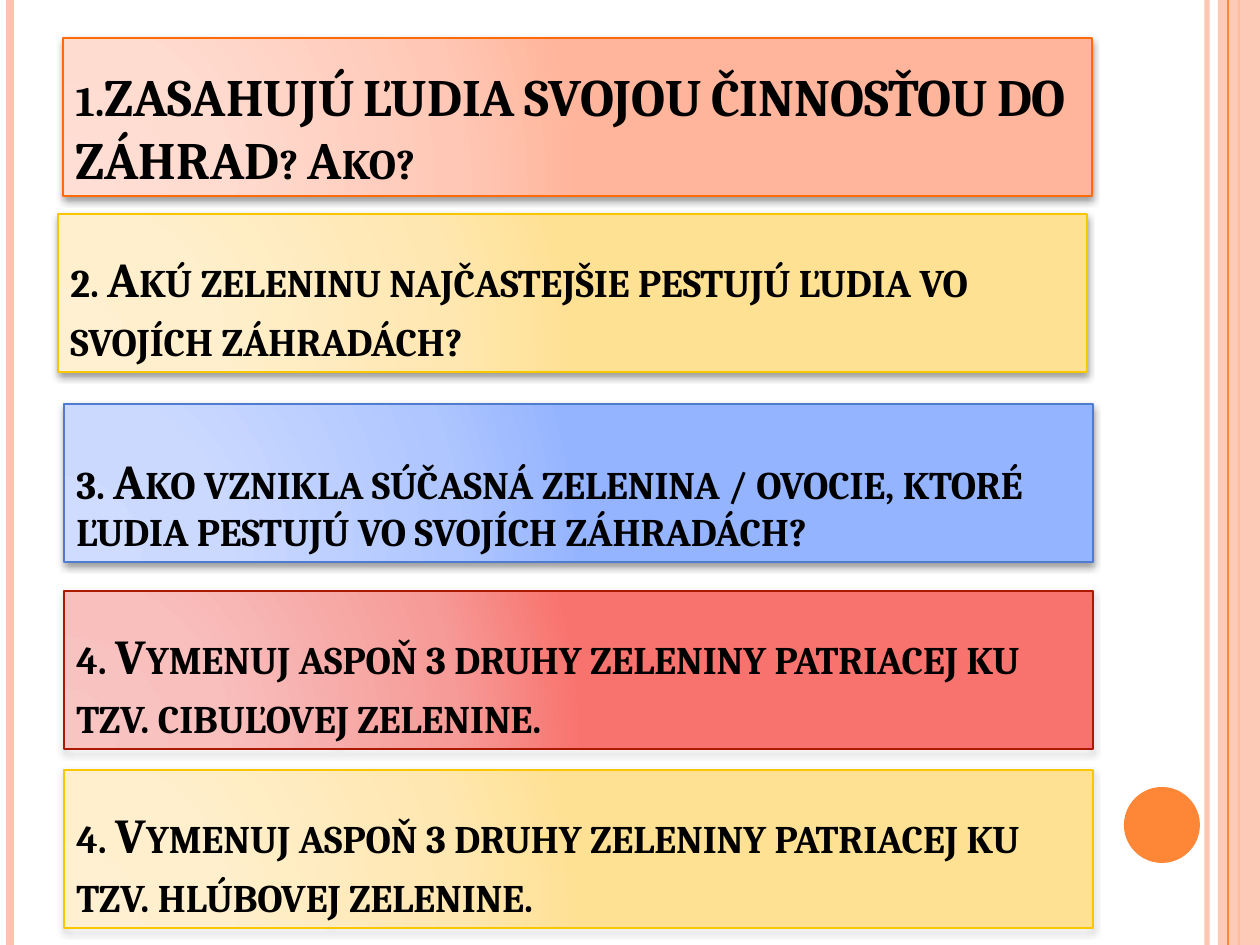
"""Build a quiz slide: five gradient question boxes beside a striped border."""
from typing import NamedTuple

from lxml.etree import SubElement
from pptx import Presentation
from pptx.dml.color import RGBColor as RGB
from pptx.enum.shapes import MSO_CONNECTOR as CONN, MSO_SHAPE as SHAPE
from pptx.enum.text import MSO_ANCHOR as ANCHOR, MSO_AUTO_SIZE as AUTOSIZE, PP_ALIGN as ALIGN
from pptx.oxml import parse_xml
from pptx.oxml.ns import nsdecls, qn
from pptx.util import Emu, Pt

PX = 914400 / 126
WIDTH, HEIGHT = 1260, 945
BOX_W, BOX_H = 1029, 158
BLACK = RGB(0x00, 0x00, 0x00)
ORANGE = RGB(0xFE, 0x86, 0x37)
PEACH = RGB(0xFE, 0xC3, 0xAE)
STOPS = (0, 30, 75, 100)
FONT = {"name": "Cambria", "bold": True}
FRAME = {"word_wrap": True, "auto_size": AUTOSIZE.NONE, "vertical_anchor": ANCHOR.BOTTOM}
SHADOW = (
    f'<a:effectLst {nsdecls("a")}><a:outerShdw blurRad="{Pt(4)}" dist="{Pt(2)}" dir="5400000" '
    'rotWithShape="0"><a:srgbClr val="000000"><a:alpha val="40000"/></a:srgbClr>'
    '</a:outerShdw></a:effectLst>'
)


class Palette(NamedTuple):
    """Border colour and gradient colours of a box."""
    border: RGB
    shades: tuple[RGB, ...]


class Question(NamedTuple):
    """One question box."""
    x: int
    y: int
    palette: Palette
    text: str
    size: float = 27.8
    spacing: float = 1.0


class Stripe(NamedTuple):
    """One vertical line of the border."""
    x: int
    color: RGB
    width: float
    opacity: int = 100


def palette(border: str, *shades: str) -> Palette:
    """Make a palette from hex colours."""
    return Palette(RGB.from_string(border), tuple(map(RGB.from_string, shades)))


CORAL = palette("FF6B0A", "FFDED5", "FFDBD0", "FFC8B6", "FFB59B")
YELLOW = palette("F8C700", "FFF0D1", "FFEFCC", "FFE7B1", "FFE193")
BLUE = palette("4F7CCF", "CFDCFF", "CBD9FF", "AFC6FF", "95B4FF")
RED = palette("AC1800", "F8C5C3", "F8BFBD", "F69B98", "F8736E")

STRIPES = (
    Stripe(1207, PEACH, 3, 93),
    Stripe(10, PEACH, 4.5),
    Stripe(1239, ORANGE, 1.5),
    Stripe(1228, ORANGE, 0.75),
)
QUESTIONS = (
    Question(63, 38, CORAL, "1.ZASAHUJÚ ĽUDIA SVOJOU ČINNOSŤOU DO ZÁHRAD? Ako?", 30),
    Question(58, 214, YELLOW, "2. Akú zeleninu najčastejšie pestujú ľudia vo svojích záhradách?"),
    Question(64, 404, BLUE, "3. Ako vznikla súčasná zelenina / ovocie, ktoré ľudia pestujú "
             "vo svojích záhradách?", spacing=0.8),
    Question(64, 591, RED, "4. Vymenuj aspoň 3 druhy zeleniny patriacej ku "
             "tzv. cibuľovej zelenine."),
    Question(64, 770, YELLOW, "4. Vymenuj aspoň 3 druhy zeleniny patriacej ku "
             "tzv. hlúbovej zelenine."),
)


def px(n: int) -> Emu:
    """Turn pixels into EMU."""
    return Emu(round(n * PX))


def set_all(target, values: dict) -> None:
    """Set every attribute in a dict of format values."""
    for name, value in values.items():
        setattr(target, name, value)


def set_opacity(sp, percent: int) -> None:
    """Make the first colour of a shape partly transparent."""
    color = next(sp.element.spPr.iter(qn("a:srgbClr")))
    SubElement(color, qn("a:alpha"), val=str(percent * 1000))


def gradient(shades: tuple[RGB, ...]) -> str:
    """Give the XML of a circular gradient."""
    stops = "".join(f'<a:gs pos="{pos * 1000}"><a:srgbClr val="{shade}"/></a:gs>'
                    for pos, shade in zip(STOPS, shades))
    return (f'<a:gradFill {nsdecls("a")} rotWithShape="1"><a:gsLst>{stops}</a:gsLst>'
            '<a:path path="circle"><a:fillToRect l="5000" t="100000" r="120000" b="10000"/>'
            '</a:path></a:gradFill>')


def draw_stripe(s, stripe: Stripe) -> None:
    """Draw a full-height vertical line."""
    sp = s.shapes.add_connector(CONN.STRAIGHT, px(stripe.x), 0, px(stripe.x), px(HEIGHT))
    sp.line.color.rgb = stripe.color
    sp.line.width = Pt(stripe.width)
    if stripe.opacity < 100:
        set_opacity(sp, stripe.opacity)
    SubElement(sp.element.spPr, qn("a:effectLst"))


def draw_solid(s, kind: SHAPE, x: int, y: int, w: int, h: int, color: RGB):
    """Draw a plain filled shape."""
    sp = s.shapes.add_shape(kind, px(x), px(y), px(w), px(h))
    sp.shadow.inherit = False
    sp.fill.solid()
    sp.fill.fore_color.rgb = color
    sp.line.fill.background()
    return sp


def draw_question(sp, q: Question) -> None:
    """Place and format a shape as a question box."""
    set_all(sp, {"left": px(q.x), "top": px(q.y), "width": px(BOX_W), "height": px(BOX_H)})
    spPr = sp.element.spPr
    spPr.append(parse_xml(gradient(q.palette.shades)))
    sp.line.color.rgb = q.palette.border
    sp.line.width = Pt(1)
    spPr.append(parse_xml(SHADOW))
    tf = sp.text_frame
    set_all(tf, FRAME)
    p = tf.paragraphs[0]
    set_all(p, {"alignment": ALIGN.LEFT, "line_spacing": q.spacing})
    r = p.add_run()
    r.text = q.text
    set_all(r.font, FONT | {"size": Pt(q.size)})
    r.font.color.rgb = BLACK
    r.font._element.set("cap", "small")


def main() -> None:
    """Build and save the slide."""
    prs = Presentation()
    set_all(prs, {"slide_width": px(WIDTH), "slide_height": px(HEIGHT)})
    s = prs.slides.add_slide(prs.slide_layouts[5])
    for stripe in STRIPES[:3]:
        draw_stripe(s, stripe)
    band = draw_solid(s, SHAPE.RECTANGLE, 1218, 0, 42, HEIGHT, PEACH)
    set_opacity(band, 87)
    draw_stripe(s, STRIPES[3])
    draw_solid(s, SHAPE.OVAL, 1124, 787, 76, 76, ORANGE)
    title = s.shapes.title
    title.element.getparent().append(title.element)
    draw_question(title, QUESTIONS[0])
    for q in QUESTIONS[1:]:
        draw_question(s.shapes.add_shape(SHAPE.RECTANGLE, 0, 0, 0, 0), q)
    prs.save("out.pptx")


if __name__ == "__main__":
    main()
